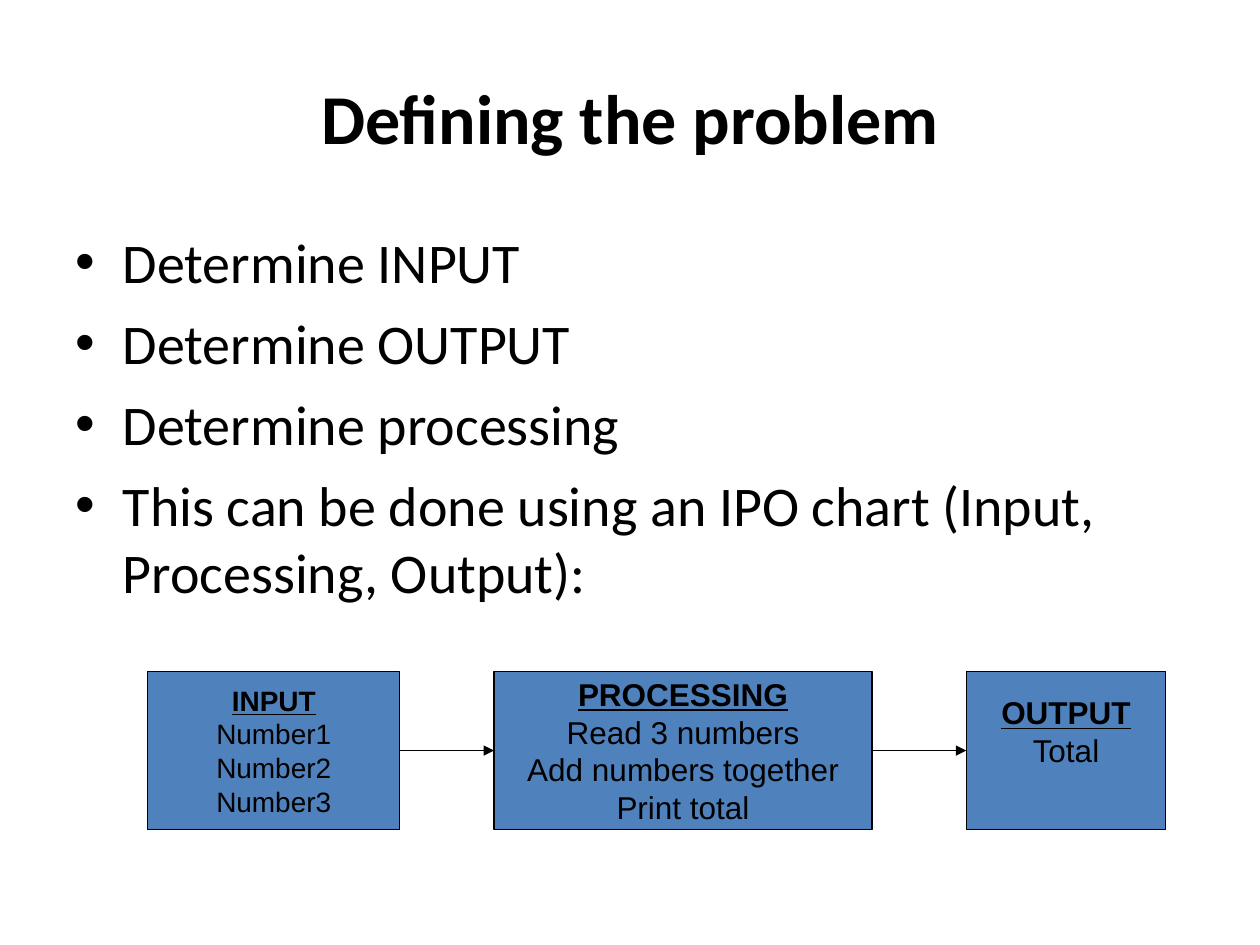
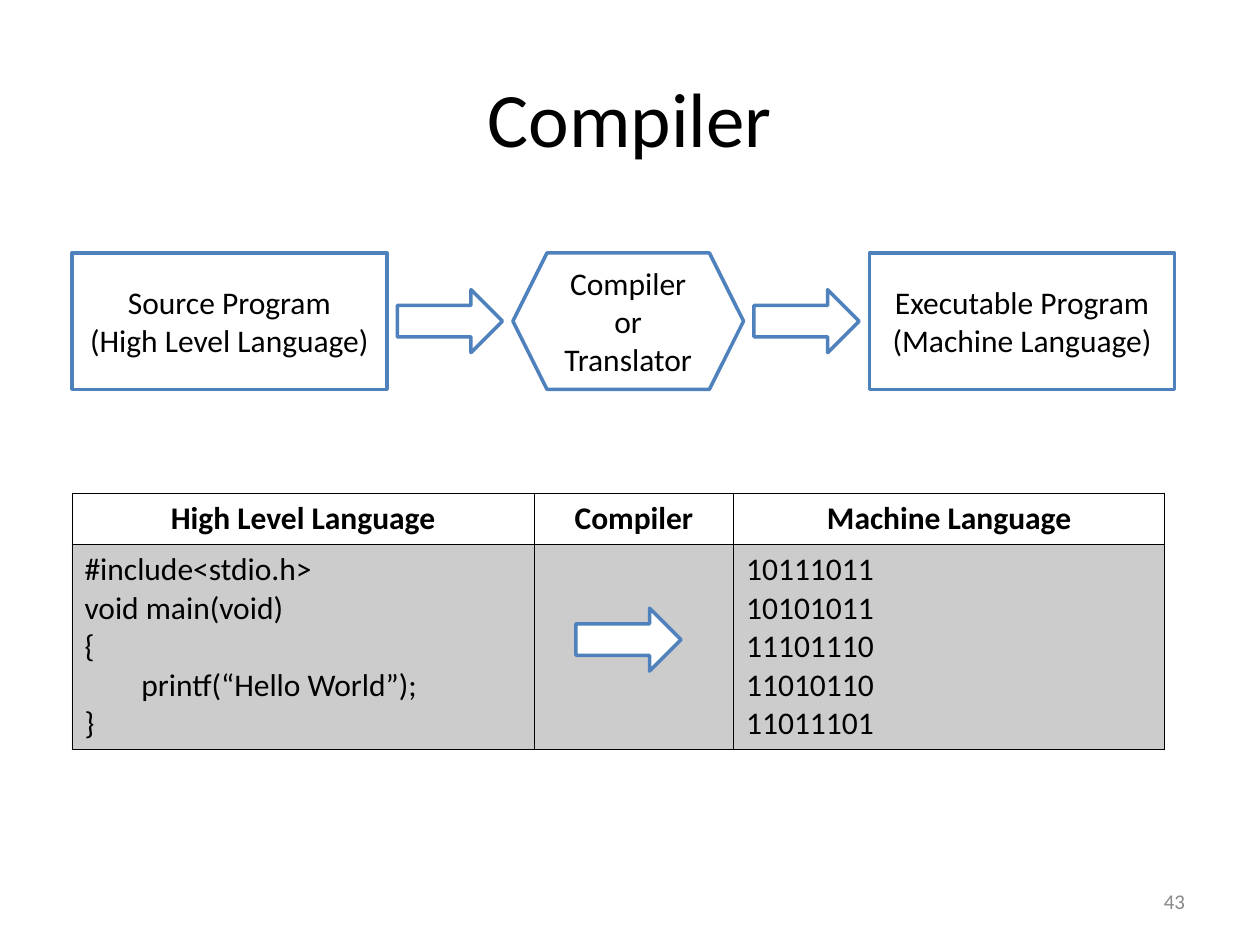
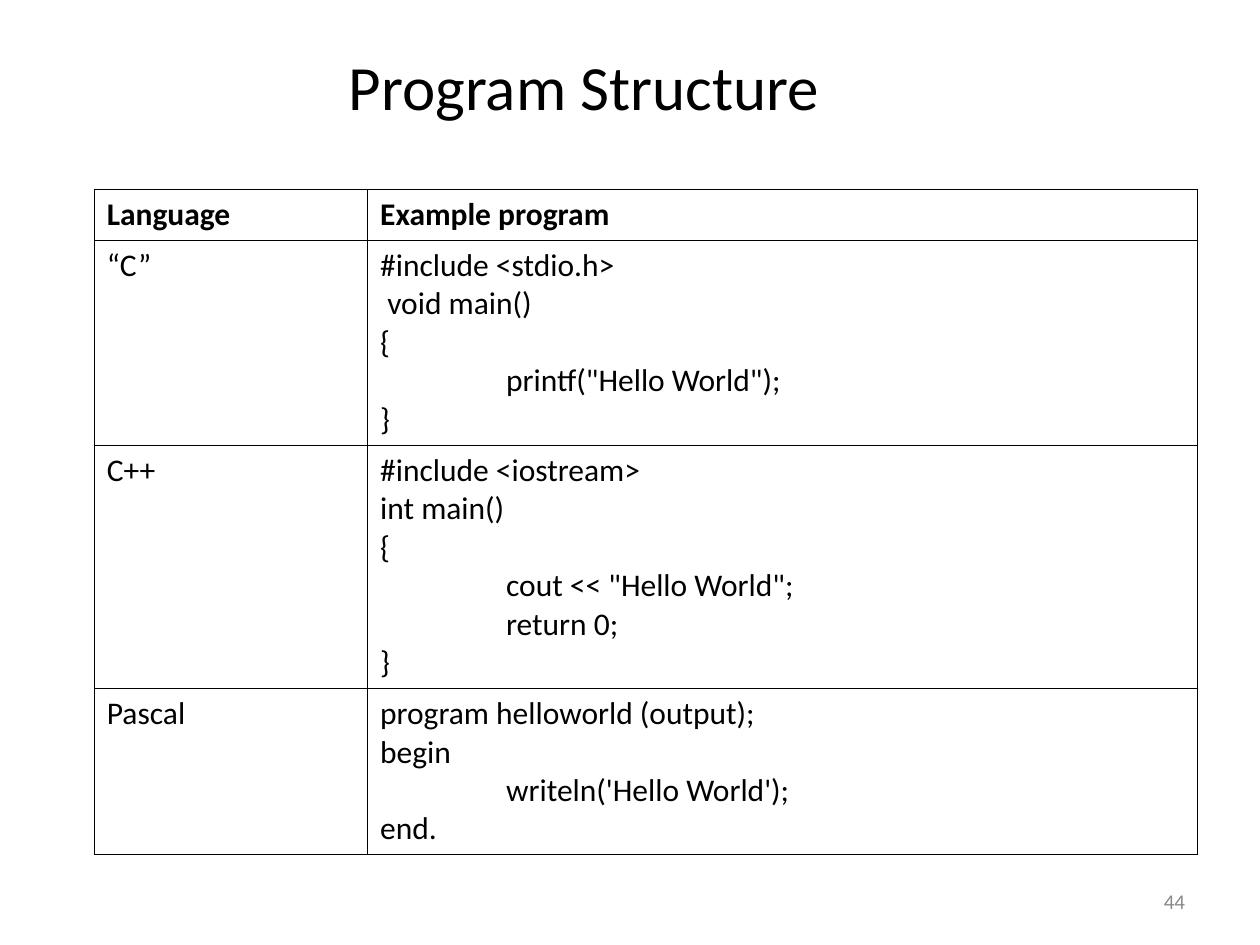
from collections import namedtuple

from lxml.etree import SubElement
from pptx import Presentation
from pptx.dml.color import RGBColor
from pptx.enum.shapes import MSO_CONNECTOR, MSO_SHAPE
from pptx.enum.text import MSO_ANCHOR, PP_ALIGN
from pptx.oxml.ns import qn
from pptx.util import Cm, Pt

# Shared look
FONT = "Calibri"
DIAGRAM_FONT = "Arial"
BLACK, WHITE, BLUE, GREY = "000000", "FFFFFF", "4F81BD", "898989"
THIN_RULE, HEADER_RULE = 0.45, 0.96
LINE_HEIGHT, CELL_PADDING = 0.76, 0.25  # cm, for 18 pt table text

Box = namedtuple("Box", "left top width height")  # all in cm
TITLE_BOX = Box(1.27, 0.76, 22.86, 3.18)
NUMBER_BOX = Box(18.21, 17.65, 5.93, 1.02)


def colour(hex_code):
    return RGBColor.from_string(hex_code)


def in_cm(box):
    return [Cm(length) for length in box]


def place(shape, box):
    shape.left, shape.top, shape.width, shape.height = in_cm(box)


def format_paragraph(para, size, font=FONT, ink=BLACK, bold=False,
                     underline=False, align=PP_ALIGN.LEFT):
    para.alignment = align
    for span in para.runs:
        span.font.size = Pt(size)
        span.font.name = font
        span.font.bold = bold
        span.font.underline = underline
        span.font.color.rgb = colour(ink)


def add_tab_stop(para, position):
    tabs = SubElement(para._p.get_or_add_pPr(), qn("a:tabLst"))
    SubElement(tabs, qn("a:tab"), pos=str(Cm(position)), algn="l")


# Title, list and slide number
def write_title(page, text, size, box=TITLE_BOX, bold=False,
                align=PP_ALIGN.CENTER, anchor=MSO_ANCHOR.MIDDLE):
    title = page.shapes.title
    place(title, box)
    title.text_frame.text = text
    title.text_frame.vertical_anchor = anchor
    format_paragraph(title.text_frame.paragraphs[0], size, bold=bold, align=align)


def write_list(page, items, box):
    body = page.placeholders[1]
    place(body, box)
    body.text_frame.text = "\n".join(items)
    for index, para in enumerate(body.text_frame.paragraphs):
        properties = para._p.get_or_add_pPr()
        properties.set("marL", str(Cm(0.95)))
        properties.set("indent", str(-Cm(0.95)))
        para.space_before = Pt(8 if index else 0)
        SubElement(properties, qn("a:buChar"), char="•")
        format_paragraph(para, 32)


def write_slide_number(page, number):
    label = page.shapes.add_textbox(*in_cm(NUMBER_BOX))
    label.text_frame.word_wrap = True
    label.text_frame.vertical_anchor = MSO_ANCHOR.MIDDLE
    label.text_frame.text = str(number)
    format_paragraph(label.text_frame.paragraphs[0], 12, ink=GREY,
                     align=PP_ALIGN.RIGHT)


# Diagram parts
def draw_shape(page, kind, box, fill, line, weight, text=""):
    shape = page.shapes.add_shape(kind, *in_cm(box))
    shape.shadow.inherit = False
    shape.fill.solid()
    shape.fill.fore_color.rgb = colour(fill)
    shape.line.color.rgb = colour(line)
    shape.line.width = Pt(weight)
    if text:
        shape.text_frame.word_wrap = True
        shape.text_frame.vertical_anchor = MSO_ANCHOR.MIDDLE
        shape.text_frame.text = text
        for para in shape.text_frame.paragraphs:
            format_paragraph(para, 18, align=PP_ALIGN.CENTER)
    return shape


def draw_block_arrow(page, box):
    draw_shape(page, MSO_SHAPE.RIGHT_ARROW, box, WHITE, BLUE, 2)


def draw_connector(page, start, end, middle):
    arrow = page.shapes.add_connector(
        MSO_CONNECTOR.STRAIGHT, Cm(start), Cm(middle), Cm(end), Cm(middle))
    arrow.line.color.rgb = colour(BLACK)
    arrow.line.width = Pt(0.75)
    properties = arrow._element.spPr
    SubElement(properties.find(qn("a:ln")), qn("a:tailEnd"), type="triangle")
    SubElement(properties, qn("a:effectLst"))


def draw_ipo_chart(page, box):
    gap = 1.9
    stages = [
        (5.08, 16, "INPUT\nNumber1\nNumber2\nNumber3"),
        (7.62, 18, "PROCESSING\nRead 3 numbers\nAdd numbers together\nPrint total"),
        (4.02, 18, "OUTPUT\nTotal"),
    ]
    left = box.left
    for index, (width, size, text) in enumerate(stages):
        stage = draw_shape(page, MSO_SHAPE.RECTANGLE,
                           Box(left, box.top, width, box.height),
                           BLUE, BLACK, 0.75, text)
        for line, para in enumerate(stage.text_frame.paragraphs):
            format_paragraph(para, size, DIAGRAM_FONT, bold=line == 0,
                             underline=line == 0, align=PP_ALIGN.CENTER)
        if index:
            draw_connector(page, left - gap, left, box.top + box.height / 2)
        left += width + gap
    # The short last stage sits one line above the middle
    stage.text_frame.margin_bottom = Cm(0.9)


def draw_compiler_flow(page, box):
    gap, arrow_width, arrow_height = 0.21, 2.12, 1.27
    steps = [
        (MSO_SHAPE.RECTANGLE, 6.35, "Source Program\n(High Level Language)"),
        (MSO_SHAPE.HEXAGON, 4.65, "Compiler or Translator"),
        (MSO_SHAPE.RECTANGLE, 6.15, "Executable Program\n(Machine Language)"),
    ]
    arrow_top = box.top + (box.height - arrow_height) / 2
    left = box.left
    for index, (kind, width, text) in enumerate(steps):
        if index:
            draw_block_arrow(page, Box(left, arrow_top, arrow_width, arrow_height))
            left += arrow_width + gap
        draw_shape(page, kind, Box(left, box.top, width, box.height),
                   WHITE, BLUE, 2, text)
        left += width + gap


# Tables
def rule_cell(cell, top, bottom):
    properties = cell._tc.get_or_add_tcPr()
    weights = {"L": THIN_RULE, "R": THIN_RULE, "T": top, "B": bottom}
    for side, weight in weights.items():
        line = SubElement(properties, qn("a:ln" + side), w=str(Pt(weight)))
        fill = SubElement(line, qn("a:solidFill"))
        SubElement(fill, qn("a:srgbClr"), val=BLACK)


def shade_cell(cell, opacity):
    cell.fill.solid()
    cell.fill.fore_color.rgb = colour(BLACK)
    tint = cell._tc.tcPr.find(qn("a:solidFill")).find(qn("a:srgbClr"))
    SubElement(tint, qn("a:alpha"), val=str(opacity * 1000))


def draw_table(page, left, top, widths, rows, header_align=PP_ALIGN.LEFT,
               header_rule=THIN_RULE, body_opacity=0):
    heights = [LINE_HEIGHT * max(len(text.split("\n")) for text in row)
               + CELL_PADDING for row in rows]
    box = Box(left, top, sum(widths), sum(heights))
    table = page.shapes.add_table(len(rows), len(widths), *in_cm(box)).table
    table.horz_banding = False
    for column, width in zip(table.columns, widths):
        column.width = Cm(width)
    for row_index, row in enumerate(rows):
        is_header = row_index == 0
        table.rows[row_index].height = Cm(heights[row_index])
        for cell, text in zip(table.rows[row_index].cells, row):
            rule_cell(cell, header_rule if row_index == 1 else THIN_RULE,
                      header_rule if is_header else THIN_RULE)
            if body_opacity and not is_header:
                shade_cell(cell, body_opacity)
            else:
                cell.fill.background()
            cell.text_frame.text = text
            for para in cell.text_frame.paragraphs:
                if "\t" in para.text:
                    add_tab_stop(para, 2.54)
                format_paragraph(para, 18, bold=is_header,
                                 align=header_align if is_header else PP_ALIGN.LEFT)


# Slides
def build_problem_slide(deck):
    page = deck.slides.add_slide(deck.slide_layouts[1])
    write_title(page, "Defining the problem", 40, bold=True)
    write_list(page, [
        "Determine INPUT",
        "Determine OUTPUT",
        "Determine processing",
        "This can be done using an IPO chart (Input, Processing, Output):",
    ], Box(1.27, 4.45, 22.86, 12.57))
    draw_ipo_chart(page, Box(2.98, 13.54, 20.52, 3.18))


def build_compiler_slide(deck):
    page = deck.slides.add_slide(deck.slide_layouts[5])
    write_title(page, "Compiler", 44)
    left, table_top = 1.45, 9.95
    draw_table(page, left, table_top, [9.32, 4.02, 8.69], [
        ["High Level Language", "Compiler", "Machine Language"],
        ["#include<stdio.h>\nvoid main(void)\n{\n"
         "        printf(“Hello World”);\n}",
         "",
         "10111011\n10101011\n11101110\n11010110\n11011101"],
    ], PP_ALIGN.CENTER, HEADER_RULE, body_opacity=20)
    draw_compiler_flow(page, Box(left, 5.1, 22.23, 2.75))
    draw_block_arrow(page, Box(left + 10.16, table_top + 2.31, 2.12, 1.27))
    write_slide_number(page, 43)


def build_structure_slide(deck):
    page = deck.slides.add_slide(deck.slide_layouts[5])
    write_title(page, "Program Structure", 36, Box(6.78, 0.84, 10.03, 1.78),
                align=PP_ALIGN.LEFT, anchor=MSO_ANCHOR.TOP)
    draw_table(page, 1.9, 3.81, [5.51, 16.72], [
        ["Language", "Example program"],
        ["“C”",
         '#include <stdio.h>\n void main()\n{\n\tprintf("Hello World");\n}'],
        ["C++",
         '#include <iostream>\nint main()\n{\n\tcout << "Hello World";\n'
         "\treturn 0;\n}"],
        ["Pascal",
         "program helloworld (output);\nbegin\n\twriteln('Hello World');\nend."],
    ])
    write_slide_number(page, 44)


def main():
    deck = Presentation()
    deck.slide_width, deck.slide_height = Cm(25.4), Cm(19.05)
    build_problem_slide(deck)
    build_compiler_slide(deck)
    build_structure_slide(deck)
    deck.save("out.pptx")


if __name__ == "__main__":
    main()
